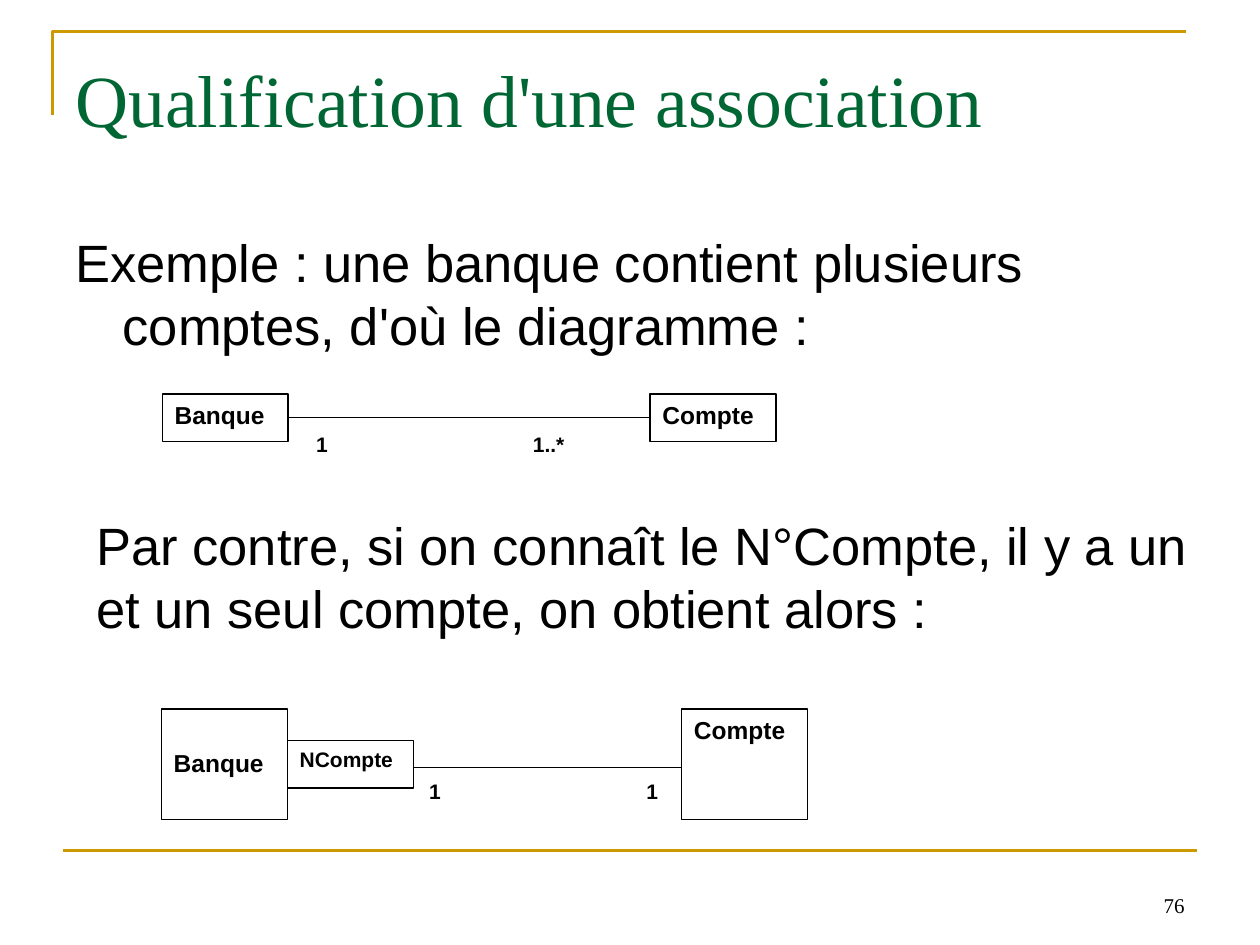
from dataclasses import dataclass

from lxml.etree import SubElement
from pptx import Presentation
from pptx.dml.color import RGBColor
from pptx.enum.shapes import MSO_CONNECTOR as Connector, MSO_SHAPE as Shape
from pptx.enum.text import MSO_ANCHOR as Anchor, PP_ALIGN as Align
from pptx.oxml.ns import qn
from pptx.util import Pt

COLORS = {"gold": "CC9900", "green": "006633", "black": "000000", "white": "FFFFFF"}
SERIF, SANS = "Times New Roman", "Arial"


@dataclass
class Box:
    text: str
    left: float
    top: float
    width: float
    height: float
    size: float = 14
    outlined: bool = True
    inset_top: float = 3.6


@dataclass
class Line:
    x1: float
    y1: float
    x2: float
    y2: float
    color: str = "black"
    weight: float = 0.75


CLASSES = [
    Box("Banque", 92.7, 225.2, 72, 27),
    Box("Compte", 371.5, 225.2, 72, 27),
    Box("Banque", 92.2, 405.2, 72, 63, inset_top=22),
    Box("Compte", 389.5, 405.2, 72, 63),
    Box("NCompte", 164.2, 423.3, 72, 27, size=12),
]
CARDINALITIES = [
    Box("1", 173.5, 243.2, 18, 18, 12, False),
    Box("1..*", 297.5, 243, 46.5, 27, 12, False),
    Box("1", 238.2, 441.2, 18, 18, 12, False),
    Box("1", 362.2, 441.2, 18, 18, 12, False),
]
LINES = [
    Line(36, 486, 684, 486, "gold", 1.5),
    Line(164.5, 238.5, 371.5, 238.5),
    Line(236.2, 438.7, 389.5, 438.7),
]


def rgb(name: str) -> RGBColor:
    return RGBColor.from_string(COLORS[name])


def write(sp, text: str, *, size: float, font: str = SANS, color: str = "black",
          bold: bool = False, align=Align.LEFT, anchor=Anchor.TOP,
          inset_top: float = 3.6, spacing: float | None = None,
          hanging: float = 0) -> None:
    tf = sp.text_frame
    tf.word_wrap = True
    tf.vertical_anchor = anchor
    tf.margin_left = tf.margin_right = Pt(7.2)
    tf.margin_top, tf.margin_bottom = Pt(inset_top), Pt(3.6)
    p = tf.paragraphs[0]
    p.alignment = align
    if spacing:
        p.line_spacing = Pt(spacing)
    if hanging:
        pPr = p._p.get_or_add_pPr()
        pPr.set("marL", str(Pt(hanging)))
        pPr.set("indent", str(-Pt(hanging)))
    r = p.add_run()
    r.text = text
    r.font.name, r.font.size, r.font.bold = font, Pt(size), bold
    r.font.color.rgb = rgb(color)


def draw_box(s, box: Box) -> None:
    sp = s.shapes.add_shape(Shape.RECTANGLE, Pt(box.left), Pt(box.top),
                            Pt(box.width), Pt(box.height))
    sp.shadow.inherit = False
    sp.fill.solid()
    sp.fill.fore_color.rgb = rgb("white")
    if box.outlined:
        sp.line.color.rgb = rgb("black")
        sp.line.width = Pt(0.75)
    else:
        sp.line.fill.background()
    write(sp, box.text, size=box.size, bold=True, inset_top=box.inset_top)


def draw_line(s, line: Line) -> None:
    cx = s.shapes.add_connector(Connector.STRAIGHT, Pt(line.x1), Pt(line.y1),
                                Pt(line.x2), Pt(line.y2))
    cx.line.color.rgb = rgb(line.color)
    cx.line.width = Pt(line.weight)
    SubElement(cx._element.spPr, qn("a:effectLst"))


def draw_corner(s) -> None:
    builder = s.shapes.build_freeform(Pt(30), Pt(66))
    builder.add_line_segments([(Pt(30), Pt(18)), (Pt(678), Pt(18))], close=False)
    sp = builder.convert_to_shape()
    sp.shadow.inherit = False
    sp.fill.background()
    sp.line.color.rgb = rgb("gold")
    sp.line.width = Pt(1.5)


def add_text(s, text: str, left: float, top: float, width: float, height: float,
             **fmt) -> None:
    sp = s.shapes.add_textbox(Pt(left), Pt(top), Pt(width), Pt(height))
    write(sp, text, **fmt)


def main() -> None:
    prs = Presentation()
    prs.slide_width, prs.slide_height = Pt(720), Pt(540)
    s = prs.slides.add_slide(prs.slide_layouts[5])

    draw_corner(s)
    title = s.shapes.title
    title.left, title.top, title.width, title.height = Pt(36), Pt(21.6), Pt(648), Pt(90)
    write(title, "Qualification d'une association", size=42, font=SERIF,
          color="green", inset_top=9)
    add_text(s, "Exemple : une banque contient plusieurs comptes, d'où le diagramme :",
             36, 126, 648, 356.4, size=30, inset_top=5.4, spacing=36, hanging=27)

    for line in LINES:
        draw_line(s, line)
    for box in CLASSES + CARDINALITIES:
        draw_box(s, box)

    add_text(s, "Par contre, si on connaît le N°Compte, il y a un et un seul compte, "
             "on obtient alors :", 48, 288, 642, 43.2, size=30, inset_top=5.4, spacing=36)
    add_text(s, "76", 516, 492, 168, 36, size=12, font=SERIF,
             align=Align.RIGHT, anchor=Anchor.BOTTOM)
    prs.save("out.pptx")


if __name__ == "__main__":
    main()
